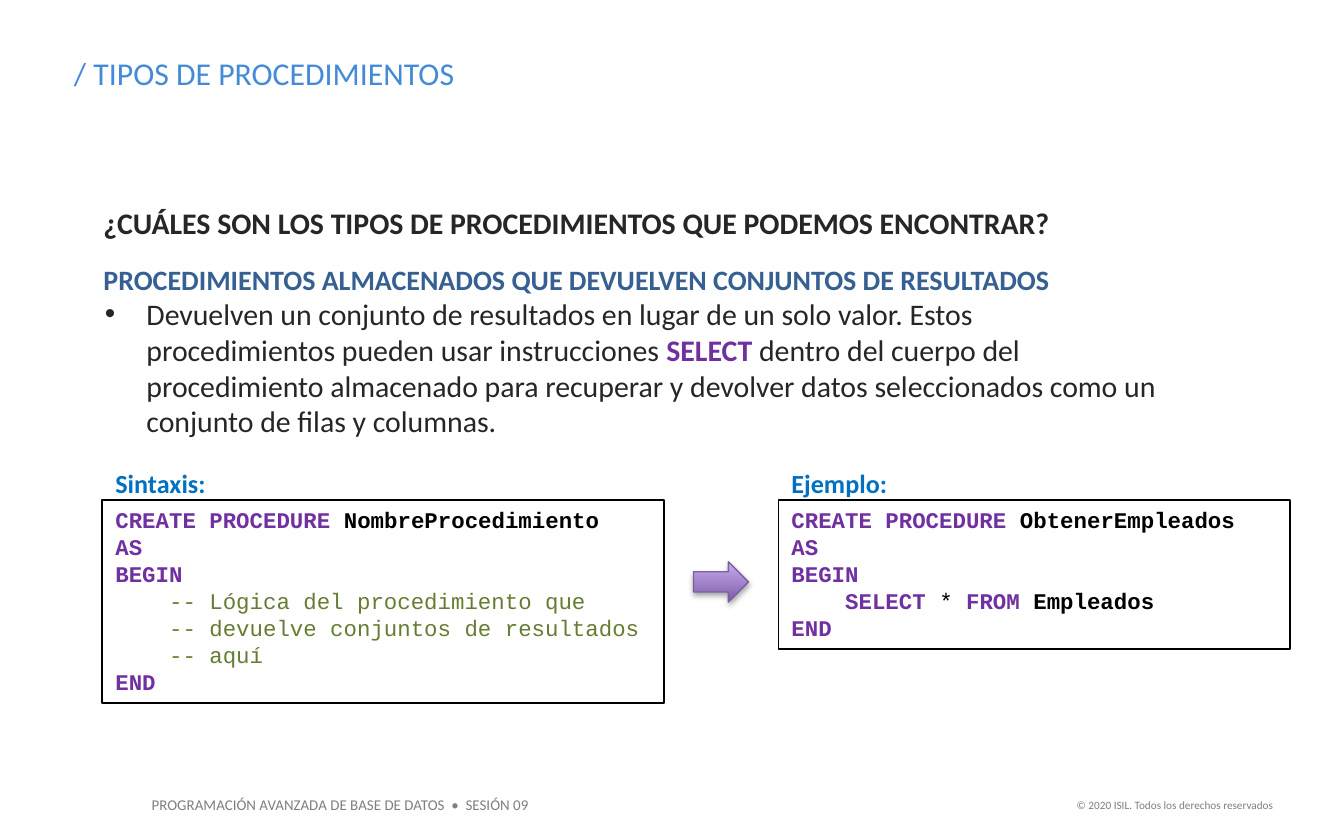
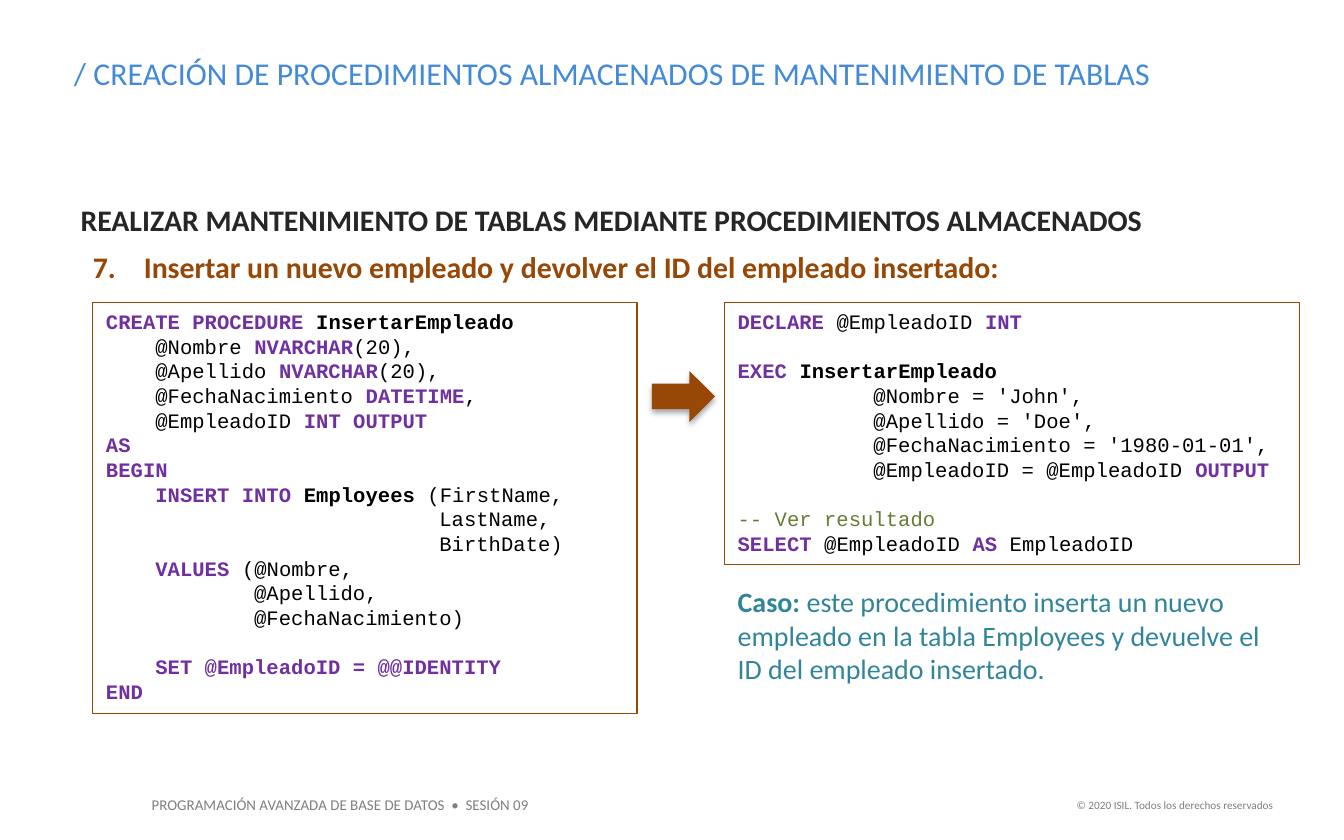
from lxml.etree import SubElement
from pptx import Presentation
from pptx.dml.color import RGBColor
from pptx.enum.shapes import MSO_SHAPE as Preset
from pptx.enum.text import MSO_ANCHOR as Anchor, MSO_AUTO_SIZE as AutoSize, PP_ALIGN as Align
from pptx.oxml.ns import qn
from pptx.util import Inches, Pt

SKY = RGBColor(0x43, 0x8A, 0xD7)
GRAY = RGBColor(0x7F, 0x7F, 0x7F)
INK = RGBColor(0x26, 0x26, 0x26)
BLACK = RGBColor(0x00, 0x00, 0x00)
NAVY = RGBColor(0x36, 0x60, 0x92)
BLUE = RGBColor(0x00, 0x70, 0xC0)
PURPLE = RGBColor(0x70, 0x30, 0xA0)
GREEN = RGBColor(0x64, 0x7D, 0x33)
BROWN = RGBColor(0x97, 0x48, 0x06)
TEAL = RGBColor(0x31, 0x85, 0x9B)
VIOLET_DARK = RGBColor(0x7F, 0x5A, 0xAB)
VIOLET_LIGHT = RGBColor(0xC7, 0xAE, 0xED)
VIOLET_EDGE = RGBColor(0x7C, 0x5F, 0x9F)

COLUMNS, ROWS = 100, 62.5
BODY_FONT, CODE_FONT = "Calibri", "Courier New"
CODE_LEADING = 1.2
PADDING = (0.1, 0.05)


def keyword(words):
    return words, PURPLE, True


def name(words):
    return words, BLACK, True


def plain(words):
    return words, BLACK, False


def remark(words):
    return words, GREEN, False


class Deck:
    def __init__(self):
        self.show = Presentation()
        self.show.slide_width = Inches(10)
        self.show.slide_height = Inches(6.25)
        self.slide = None

    def place(self, column, row, columns, rows):
        across = self.show.slide_width / COLUMNS
        down = self.show.slide_height / ROWS
        return [round(n) for n in (column * across, row * down, columns * across, rows * down)]

    def start(self, heading, columns):
        self.slide = self.show.slides.add_slide(self.show.slide_layouts[5])
        title = self.slide.shapes.title
        title.left, title.top, title.width, title.height = self.place(4.5, 3.5, columns, 3.9)
        self.frame(title, PADDING, True)
        self.add_runs(title.text_frame.paragraphs[0], [(heading, SKY, False)], 17)
        self.text((10.3, 58.7, 30.3, 2.4), 8,
                  [[("PROGRAMACIÓN AVANZADA DE BASE DE DATOS  •  SESIÓN 09", GRAY, False)]],
                  wrap=False)
        self.text((78.8, 58.9, 16.9, 2), 6,
                  [[("© 2020 ISIL. Todos los derechos reservados", GRAY, False)]],
                  wrap=False, align=Align.RIGHT)

    def frame(self, holder, padding, wrap):
        frame = holder.text_frame
        frame.margin_left = frame.margin_right = Inches(padding[0])
        frame.margin_top = frame.margin_bottom = Inches(padding[1])
        frame.vertical_anchor = Anchor.TOP
        frame.auto_size = AutoSize.NONE
        frame.word_wrap = wrap
        return frame

    def add_runs(self, paragraph, runs, size, font=BODY_FONT, align=Align.LEFT):
        paragraph.alignment = align
        for words, color, bold in runs:
            run = paragraph.add_run()
            run.text = words
            run.font.name = font
            run.font.size = Pt(size)
            run.font.bold = bold
            run.font.color.rgb = color

    def fill_lines(self, frame, lines, size, **style):
        for index, runs in enumerate(lines):
            paragraph = frame.add_paragraph() if index else frame.paragraphs[0]
            self.add_runs(paragraph, runs, size, **style)
        return frame.paragraphs

    def text(self, area, size, lines, padding=PADDING, wrap=True, align=Align.LEFT):
        box = self.slide.shapes.add_textbox(*self.place(*area))
        return self.fill_lines(self.frame(box, padding, wrap), lines, size, align=align)

    def indent(self, paragraph, left, first=0.0):
        settings = paragraph._p.get_or_add_pPr()
        settings.set("marL", str(Inches(left)))
        settings.set("indent", str(Inches(first)))
        return settings

    def bullet(self, paragraph, left, first, color, start=None):
        settings = self.indent(paragraph, left, first)
        tint = SubElement(settings, qn("a:buClr"))
        SubElement(tint, qn("a:srgbClr"), val=str(color))
        if start:
            SubElement(settings, qn("a:buFont"), typeface=BODY_FONT)
            SubElement(settings, qn("a:buAutoNum"), type="arabicPeriod", startAt=str(start))
        else:
            SubElement(settings, qn("a:buFont"), typeface="Arial")
            SubElement(settings, qn("a:buChar"), char="•")

    def heading(self, area, words, align=Align.LEFT):
        line = self.text(area, 16, [[(words, INK, True)]], (0, 0), align=align)[0]
        self.indent(line, 0.01)

    def code(self, area, size, edge, sections):
        panel = self.slide.shapes.add_shape(Preset.RECTANGLE, *self.place(*area))
        panel.shadow.inherit = False
        panel.fill.background()
        panel.line.color.rgb = edge
        panel.line.width = Pt(0.75)
        lines = [line for section in sections for line in section]
        paragraphs = self.fill_lines(self.frame(panel, PADDING, True), lines, size, font=CODE_FONT)
        for paragraph in paragraphs:
            paragraph.line_spacing = Pt(size * CODE_LEADING)
        first = 0
        for section in sections[:-1]:
            first += len(section)
            paragraphs[first].space_before = Pt(size * CODE_LEADING)

    def arrow(self, area, color, top=None, edge=None):
        arrow = self.slide.shapes.add_shape(Preset.RIGHT_ARROW, *self.place(*area))
        if top:
            arrow.fill.gradient()
            arrow.fill.gradient_angle = 90
            for stop, tone in zip(arrow.fill.gradient_stops, (color, top)):
                stop.color.rgb = tone
        else:
            arrow.fill.solid()
            arrow.fill.fore_color.rgb = color
        if edge:
            arrow.line.color.rgb = edge
            arrow.line.width = Pt(0.75)
        else:
            arrow.line.fill.background()
        arrow.shadow.inherit = False
        effects = arrow._element.spPr.find(qn("a:effectLst"))
        shadow = SubElement(effects, qn("a:outerShdw"), blurRad=str(Pt(3.1)),
                            dist=str(Pt(1.8)), dir="5400000", rotWithShape="0")
        shade = SubElement(shadow, qn("a:srgbClr"), val=str(BLACK))
        SubElement(shade, qn("a:alpha"), val="35000")


def procedure_types(deck):
    deck.start("/ TIPOS DE PROCEDIMIENTOS", 78.8)
    syntax = [
        [keyword("CREATE PROCEDURE "), name("NombreProcedimiento")],
        [keyword("AS")],
        [keyword("BEGIN")],
        [remark("    -- Lógica del procedimiento que")],
        [remark("    -- devuelve conjuntos de resultados")],
        [remark("    -- aquí")],
        [keyword("END")],
    ]
    example = [
        [keyword("CREATE PROCEDURE "), name("ObtenerEmpleados")],
        [keyword("AS")],
        [keyword("BEGIN")],
        [keyword("    SELECT "), plain("*"), keyword(" FROM "), name("Empleados")],
        [keyword("END")],
    ]
    for label, column, columns, rows, lines in (
        ("Sintaxis:", 7.6, 41.8, 15.1, syntax),
        ("Ejemplo:", 57.9, 38.1, 11.1, example),
    ):
        deck.code((column, 37.2, columns, rows), 12, BLACK, [lines])
        deck.text((column, 34.3, 9.2, 3.4), 14, [[(label, BLUE, True)]], wrap=False)
    deck.arrow((51.6, 41.8, 4.1, 3), VIOLET_DARK, VIOLET_LIGHT, VIOLET_EDGE)
    kind, detail = deck.text((7.6, 19.5, 78.8, 13.5), 16, [
        [],
        [("Devuelven un conjunto de resultados en lugar de un solo valor. Estos "
          "procedimientos pueden usar instrucciones ", INK, False),
         keyword("SELECT"),
         (" dentro del cuerpo del procedimiento almacenado para recuperar y devolver "
          "datos seleccionados como un conjunto de filas y columnas.", INK, False)],
    ], (0, 0))
    deck.add_runs(kind, [("PROCEDIMIENTOS ALMACENADOS QUE DEVUELVEN CONJUNTOS DE RESULTADOS",
                          NAVY, True)], 15)
    deck.indent(kind, 0.01)
    deck.bullet(detail, 0.33, -0.31, INK)
    deck.heading((7.6, 15.2, 73.5, 2.7),
                 "¿CUÁLES SON LOS TIPOS DE PROCEDIMIENTOS QUE PODEMOS ENCONTRAR?")


def table_maintenance(deck):
    deck.start("/ CREACIÓN DE PROCEDIMIENTOS ALMACENADOS DE MANTENIMIENTO DE TABLAS", 90.1)
    step = deck.text((6.8, 18.5, 90.1, 2.7), 16, [
        [("Insertar un nuevo empleado y devolver el ID del empleado insertado:", BROWN, True)],
    ], (0, 0))[0]
    deck.bullet(step, 0.39, -0.38, BROWN, start=7)
    deck.code((6.9, 22.5, 40.5, 30.6), 11, BROWN, [
        [
            [keyword("CREATE PROCEDURE "), name("InsertarEmpleado")],
            [plain("    @Nombre "), keyword("NVARCHAR"), plain("(20),")],
            [plain("    @Apellido "), keyword("NVARCHAR"), plain("(20),")],
            [plain("    @FechaNacimiento "), keyword("DATETIME"), plain(",")],
            [plain("    @EmpleadoID "), keyword("INT OUTPUT")],
            [keyword("AS")],
            [keyword("BEGIN")],
            [keyword("    INSERT INTO "), name("Employees "), plain("(FirstName,")],
            [plain("                           LastName,")],
            [plain("                           BirthDate)")],
            [keyword("    VALUES "), plain("(@Nombre,")],
            [plain("            @Apellido,")],
            [plain("            @FechaNacimiento)")],
        ],
        [
            [keyword("    SET @EmpleadoID = @@IDENTITY")],
            [keyword("END")],
        ],
    ])
    deck.code((53.9, 22.5, 42.8, 19.5), 11, BROWN, [
        [[keyword("DECLARE "), plain("@EmpleadoID "), keyword("INT")]],
        [
            [keyword("EXEC "), name("InsertarEmpleado")],
            [plain("           @Nombre = 'John',")],
            [plain("           @Apellido = 'Doe',")],
            [plain("           @FechaNacimiento = '1980-01-01',")],
            [plain("           @EmpleadoID = @EmpleadoID "), keyword("OUTPUT")],
        ],
        [
            [remark("-- Ver resultado")],
            [keyword("SELECT "), plain("@EmpleadoID "), keyword("AS "), plain("EmpleadoID")],
        ],
    ])
    deck.arrow((48.5, 27.6, 4.7, 3.8), BROWN)
    deck.text((53.9, 43, 42.8, 8.6), 15, [
        [("Caso: ", TEAL, True),
         ("este procedimiento inserta un nuevo empleado en la tabla Employees y devuelve "
          "el ID del empleado insertado.", TEAL, False)],
    ])
    deck.heading((5.9, 15, 80.4, 2.7),
                 "REALIZAR MANTENIMIENTO DE TABLAS MEDIANTE PROCEDIMIENTOS ALMACENADOS",
                 Align.JUSTIFY)


def main():
    deck = Deck()
    procedure_types(deck)
    table_maintenance(deck)
    deck.show.save("out.pptx")


if __name__ == "__main__":
    main()
